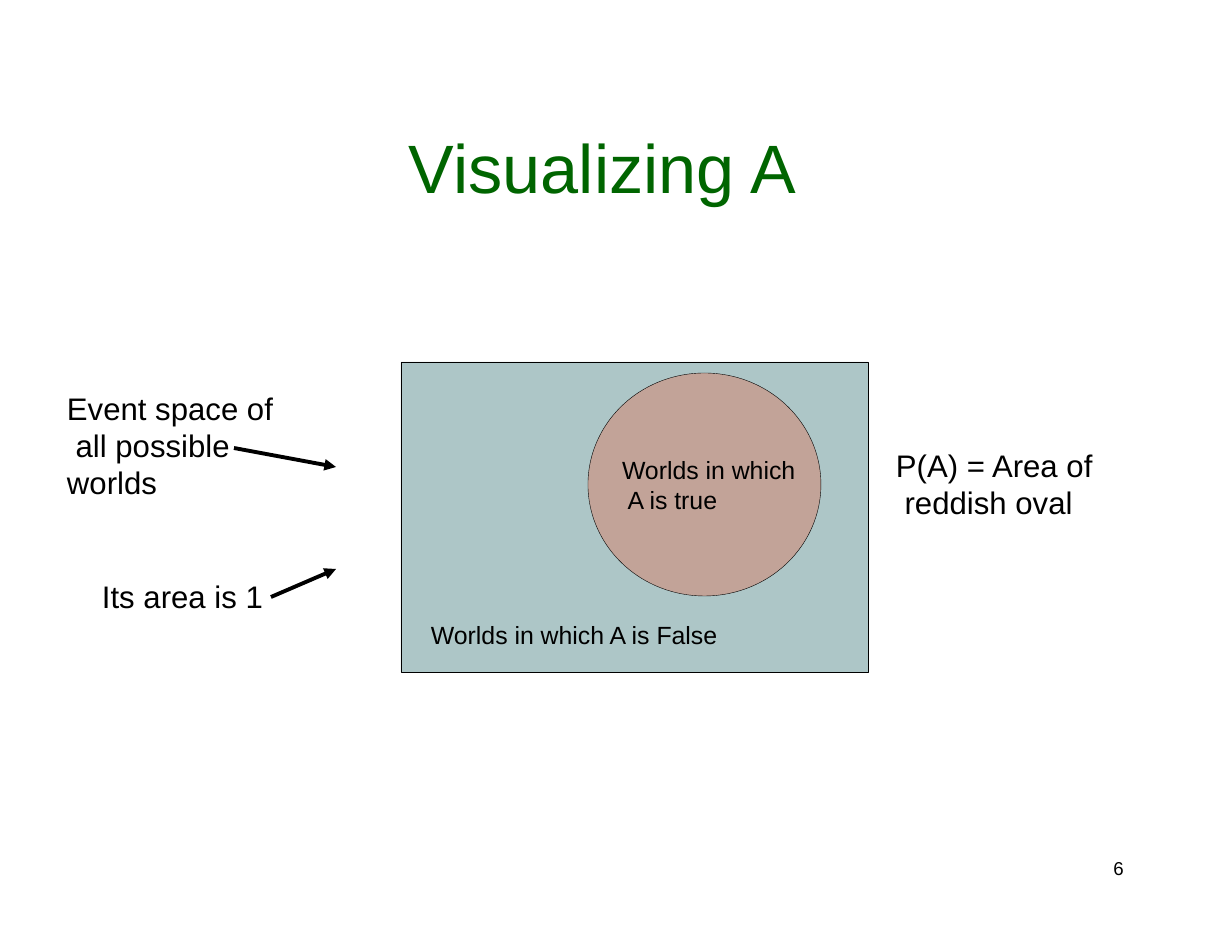
from lxml import etree
from pptx import Presentation
from pptx.dml.color import RGBColor
from pptx.enum.shapes import MSO_CONNECTOR, MSO_SHAPE
from pptx.enum.text import MSO_ANCHOR, PP_ALIGN
from pptx.oxml.ns import qn
from pptx.util import Emu, Pt

COLORS = {"title": "006500", "ink": "000000", "space": "ADC6C7", "oval": "C2A398"}


def px(n):
    """Turn pixels at 112 to the inch into EMU."""
    return Emu(round(n * 914400 / 112))


def rgb(name):
    """Look up a named colour."""
    return RGBColor.from_string(COLORS[name])


def write(sp, text, size, color="ink", align=PP_ALIGN.LEFT, anchor=MSO_ANCHOR.TOP,
          left=0, bottom=0):
    """Put one unwrapped paragraph into a shape."""
    tf = sp.text_frame
    tf.word_wrap = False
    tf.vertical_anchor = anchor
    tf.margin_top = tf.margin_right = 0
    tf.margin_left, tf.margin_bottom = px(left), px(bottom)
    p = tf.paragraphs[0]
    p.text = text
    p.alignment = align
    p.font.name = "Arial"
    p.font.size = Pt(size)
    p.font.color.rgb = rgb(color)


def add_label(slide, box, text, size, **style):
    """Add a text box."""
    write(slide.shapes.add_textbox(*map(px, box)), text, size, **style)


def add_region(slide, kind, box, fill, text, **style):
    """Add a filled, thinly outlined shape with its caption."""
    sp = slide.shapes.add_shape(kind, *map(px, box))
    sp.shadow.inherit = False
    sp.fill.solid()
    sp.fill.fore_color.rgb = rgb(fill)
    sp.line.color.rgb = rgb("ink")
    sp.line.width = Pt(0.25)
    write(sp, text, 16, **style)


def add_arrow(slide, *ends):
    """Add a straight arrow from x1, y1 to x2, y2."""
    cxn = slide.shapes.add_connector(MSO_CONNECTOR.STRAIGHT, *map(px, ends))
    cxn.line.color.rgb = rgb("ink")
    cxn.line.width = Pt(2.5)
    etree.SubElement(cxn.line._get_or_add_ln(), qn("a:tailEnd"), type="triangle")
    etree.SubElement(cxn._element.spPr, qn("a:effectLst"))


def main():
    """Build the slide and save it."""
    prs = Presentation()
    prs.slide_width, prs.slide_height = px(1232), px(952)
    slide = prs.slides.add_slide(prs.slide_layouts[6])

    add_label(slide, (409, 125, 395, 85), "Visualizing A", 44, color="title")
    add_label(slide, (67, 389, 208, 115), "Event space of\v all possible\vworlds", 20)
    add_label(slide, (102, 577, 163, 40), "Its area is 1", 20)
    add_region(slide, MSO_SHAPE.RECTANGLE, (401, 362, 467, 310), "space",
               "Worlds in which A is False", anchor=MSO_ANCHOR.BOTTOM, left=30, bottom=22)
    add_region(slide, MSO_SHAPE.OVAL, (588, 373, 233, 223), "oval",
               "Worlds in which\v A is true", anchor=MSO_ANCHOR.MIDDLE)
    add_label(slide, (896, 446, 200, 77), "P(A) = Area of\v reddish oval", 20)
    add_arrow(slide, 234, 448, 336, 467)
    add_arrow(slide, 271, 597, 336, 569)
    add_label(slide, (1105, 857, 27, 23), "6", 12, align=PP_ALIGN.CENTER)

    prs.save("out.pptx")


if __name__ == "__main__":
    main()
